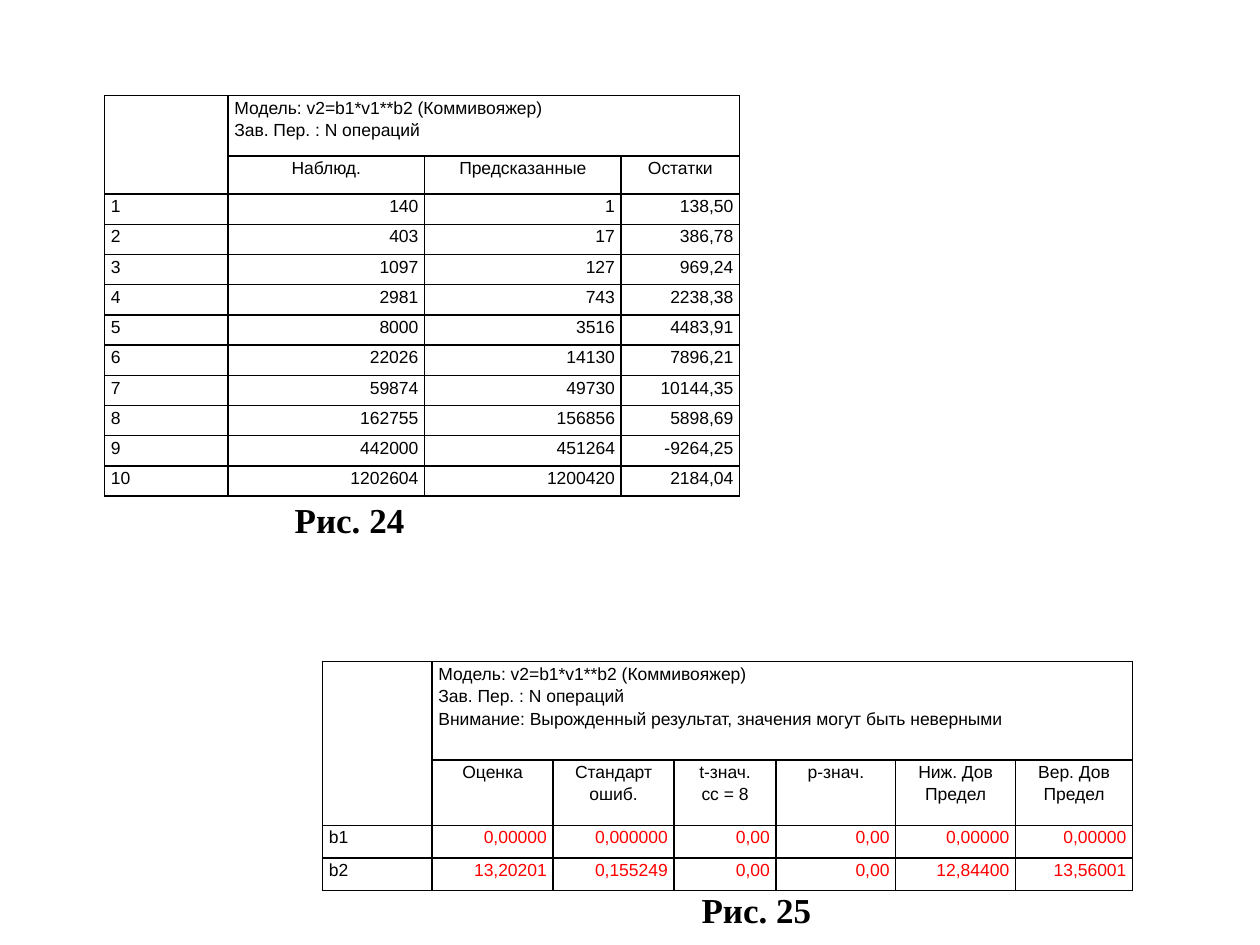
from dataclasses import dataclass

from lxml.etree import SubElement
from pptx import Presentation
from pptx.dml.color import RGBColor
from pptx.enum.text import PP_ALIGN as Align
from pptx.oxml.ns import qn
from pptx.util import Inches, Pt

COLORS = {"ink": "000000", "alert": "FF0000"}
MODEL = "Модель: v2=b1*v1**b2 (Коммивояжер)\nЗав. Пер. : N операций"


@dataclass
class Grid:
    left: float
    top: float
    cols: list[float]
    rows: list[float]
    note: str
    heads: list[str]
    data: list[str]
    color: str = "ink"


@dataclass
class Caption:
    text: str
    left: float
    top: float
    width: float


FITS = Grid(
    0.83, 0.76, [0.98, 1.56, 1.56, 0.94], [0.48] + [0.24] * 11,
    MODEL,
    ["Наблюд.", "Предсказанные", "Остатки"],
    [
        "1 140 1 138,50",
        "2 403 17 386,78",
        "3 1097 127 969,24",
        "4 2981 743 2238,38",
        "5 8000 3516 4483,91",
        "6 22026 14130 7896,21",
        "7 59874 49730 10144,35",
        "8 162755 156856 5898,69",
        "9 442000 451264 -9264,25",
        "10 1202604 1200420 2184,04",
    ],
)
PARAMS = Grid(
    2.56, 5.25, [0.87, 0.96, 0.96, 0.81, 0.95, 0.95, 0.93],
    [0.78, 0.52, 0.26, 0.26],
    MODEL + "\nВнимание: Вырожденный результат, значения могут быть неверными",
    ["Оценка", "Стандарт\nошиб.", "t-знач.\nсс = 8", "p-знач.",
     "Ниж. Дов\nПредел", "Вер. Дов\nПредел"],
    [
        "b1 0,00000 0,000000 0,00 0,00 0,00000 0,00000",
        "b2 13,20201 0,155249 0,00 0,00 12,84400 13,56001",
    ],
    color="alert",
)
CAPTIONS = [
    Caption("Рис. 24", 2.24, 3.91, 1.42),
    Caption("Рис. 25", 5.47, 7, 1.97),
]


def write(frame, text: str, *, size: float = 10, font: str = "Arial",
          color: str = "ink", bold: bool = False, align=Align.JUSTIFY,
          space: float = 1.15) -> None:
    """Fill a text frame with one paragraph per line."""
    frame.word_wrap = True
    for i, line in enumerate(text.split("\n")):
        para = frame.add_paragraph() if i else frame.paragraphs[0]
        para.alignment = align
        para.line_spacing = space
        run = para.add_run()
        run.text = line
        run.font.size = Pt(size)
        run.font.name = font
        run.font.bold = bold
        run.font.color.rgb = RGBColor.from_string(COLORS[color])


def style(cell) -> None:
    """Set the margins, thin black borders and empty fill of a cell."""
    cell.margin_left = cell.margin_right = Inches(0.05)
    cell.margin_top = cell.margin_bottom = 0
    props = cell._tc.get_or_add_tcPr()
    for side in ("L", "R", "T", "B"):
        line = SubElement(props, qn(f"a:ln{side}"), w=str(Pt(1)))
        fill = SubElement(line, qn("a:solidFill"))
        SubElement(fill, qn("a:srgbClr"), val=COLORS["ink"])
    cell.fill.background()


def draw_grid(slide, grid: Grid) -> None:
    table = slide.shapes.add_table(
        len(grid.rows), len(grid.cols), Inches(grid.left), Inches(grid.top),
        Inches(sum(grid.cols)), Inches(sum(grid.rows))).table
    table.first_row = table.horz_banding = False
    for col, width in zip(table.columns, grid.cols):
        col.width = Inches(width)
    for row, height in zip(table.rows, grid.rows):
        row.height = Inches(height)

    blank = [""] * (len(grid.cols) - 2)
    lines = [["", grid.note, *blank], ["", *grid.heads]]
    lines += [line.split() for line in grid.data]
    for r, line in enumerate(lines):
        for c, text in enumerate(line):
            cell = table.cell(r, c)
            style(cell)
            if r == 0 or c == 0:
                write(cell.text_frame, text)
            elif r == 1:
                write(cell.text_frame, text, align=Align.CENTER)
            else:
                write(cell.text_frame, text, align=Align.RIGHT,
                      color=grid.color)
    table.cell(0, 0).merge(table.cell(1, 0))
    table.cell(0, 1).merge(table.cell(0, len(grid.cols) - 1))


def draw_caption(slide, item: Caption) -> None:
    box = slide.shapes.add_textbox(
        Inches(item.left), Inches(item.top), Inches(item.width), Inches(0.44))
    write(box.text_frame, item.text, size=20, font="Times New Roman",
          bold=True, align=Align.LEFT, space=1)


def main() -> None:
    deck = Presentation()
    deck.slide_width, deck.slide_height = Inches(10), Inches(7.5)
    slide = deck.slides.add_slide(deck.slide_layouts[6])
    for item in CAPTIONS:
        draw_caption(slide, item)
    for grid in (PARAMS, FITS):
        draw_grid(slide, grid)
    deck.save("out.pptx")


if __name__ == "__main__":
    main()
